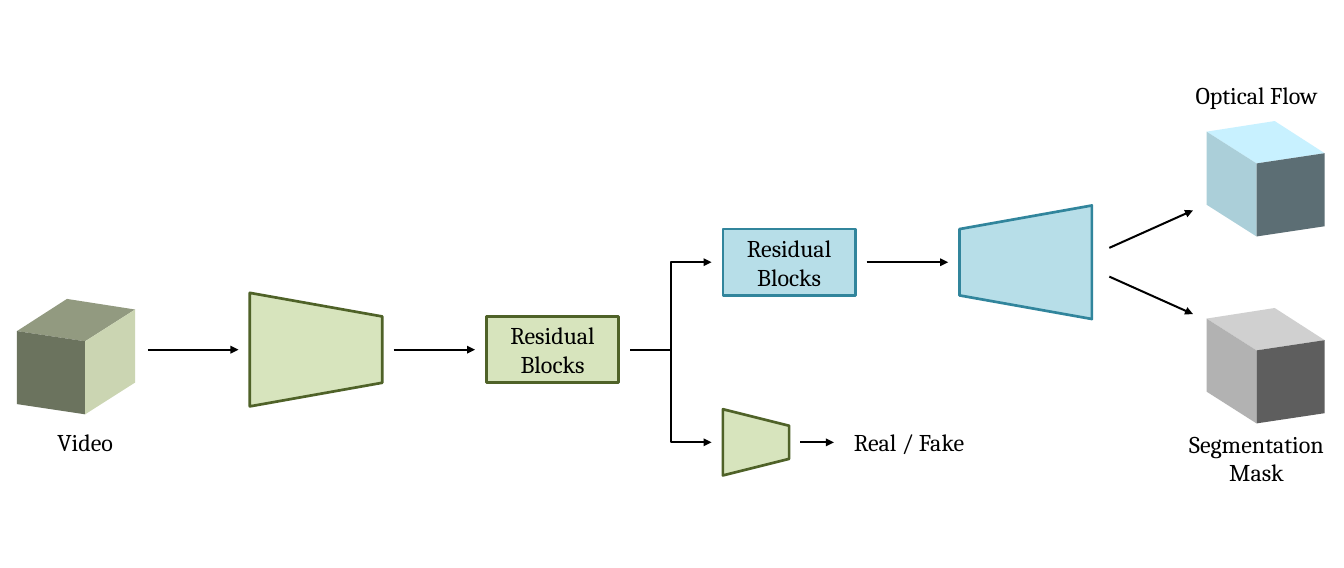
from lxml.etree import SubElement
from pptx import Presentation
from pptx.dml.color import RGBColor
from pptx.enum.shapes import MSO_CONNECTOR as LINK, MSO_SHAPE as SHAPE
from pptx.enum.text import MSO_ANCHOR as ANCHOR, PP_ALIGN as ALIGN
from pptx.oxml.ns import qn
from pptx.util import Cm, Pt

BLACK = "000000"
GREEN = ("D7E4BD", "4F6228")
BLUE = ("B7DEE8", "31859C")
STAGE_X = [6.6 + 6.25 * step for step in range(4)]
STAGE_W, BLOCK_H, NET_H = 3.5, 1.75, 3
NET_SLOPE = 0.208
HEAD_W, HEAD_SLOPE = 1.75, 0.25
GAP = 0.3
FLOW_Y, MAIN_Y, HEAD_Y = 6.93, 9.24, 11.69
CUBE_W, CUBE_SIDE, CUBE_FRONT_Y = 3.12, 1.93, 1.12
OUTPUT_X = 31.88


def rgb(code):
    return RGBColor.from_string(code)


def style(shape, colours):
    fill, border = colours
    shape.shadow.inherit = False
    shape.fill.solid()
    shape.fill.fore_color.rgb = rgb(fill)
    if border:
        shape.line.color.rgb = rgb(border)
        shape.line.width = Pt(2)
    else:
        shape.line.fill.background()


def write(shape, words):
    frame = shape.text_frame
    frame.word_wrap = True
    frame.vertical_anchor = ANCHOR.MIDDLE
    paragraph = frame.paragraphs[0]
    paragraph.text = words
    paragraph.alignment = ALIGN.CENTER
    paragraph.font.name = "Cambria"
    paragraph.font.size = Pt(18)
    paragraph.font.color.rgb = rgb(BLACK)


def label(slide, words, centre_x, top, width, height=1.02):
    box = slide.shapes.add_textbox(Cm(centre_x - width / 2), Cm(top), Cm(width), Cm(height))
    write(box, words)


def residual_blocks(slide, left, centre_y, colours):
    block = slide.shapes.add_shape(
        SHAPE.RECTANGLE, Cm(left), Cm(centre_y - BLOCK_H / 2), Cm(STAGE_W), Cm(BLOCK_H))
    style(block, colours)
    write(block, "Residual Blocks")


def network(slide, left, centre_y, length, height, slope, turn, colours):
    trapezoid = slide.shapes.add_shape(
        SHAPE.TRAPEZOID, Cm(left + (length - height) / 2), Cm(centre_y - length / 2),
        Cm(height), Cm(length))
    trapezoid.adjustments[0] = slope
    trapezoid.rotation = turn
    style(trapezoid, colours)


def arrow(slide, start, end, kind=LINK.STRAIGHT):
    link = slide.shapes.add_connector(kind, *(Cm(value) for value in start + end))
    link.line.color.rgb = rgb(BLACK)
    link.line.width = Pt(1.5)
    SubElement(link.line._get_or_add_ln(), qn("a:tailEnd"), type="triangle")
    SubElement(link._element.spPr, qn("a:effectLst"))


def cube(slide, left, top, front_x, left_y, right_y, colours):
    west = (0, left_y)
    east = (CUBE_W, right_y)
    back = (CUBE_W - front_x, 0)
    front = (front_x, CUBE_FRONT_Y)

    def lower(corner):
        return corner[0], corner[1] + CUBE_SIDE

    faces = [
        (west, back, east, front),
        (west, front, lower(front), lower(west)),
        (front, east, lower(east), lower(front)),
    ]
    for face, colour in zip(faces, colours):
        corners = [(Cm(left + x), Cm(top + y)) for x, y in face]
        outline = slide.shapes.build_freeform(*corners[0])
        outline.add_line_segments(corners[1:])
        style(outline.convert_to_shape(), (colour, None))


def main():
    deck = Presentation()
    deck.slide_width, deck.slide_height = Cm(35.51), Cm(15.01)
    slide = deck.slides.add_slide(deck.slide_layouts[6])
    encoder_x, shared_x, branch_x, decoder_x = STAGE_X

    cube(slide, 0.45, 7.9, 1.8, 0.85, 0.28, ("929A80", "6B735E", "CBD5B2"))
    cube(slide, OUTPUT_X, 3.2, 1.32, 0.28, 0.85, ("C8F1FF", "ABCFD9", "5C6E74"))
    cube(slide, OUTPUT_X, 8.14, 1.32, 0.28, 0.85, ("D0D0D0", "B2B2B2", "5E5E5E"))

    network(slide, encoder_x, MAIN_Y, STAGE_W, NET_H, NET_SLOPE, 90, GREEN)
    network(slide, branch_x, HEAD_Y, HEAD_W, HEAD_W, HEAD_SLOPE, 90, GREEN)
    network(slide, decoder_x, FLOW_Y, STAGE_W, NET_H, NET_SLOPE, 270, BLUE)
    residual_blocks(slide, shared_x, MAIN_Y, GREEN)
    residual_blocks(slide, branch_x, FLOW_Y, BLUE)

    arrow(slide, (3.91, MAIN_Y), (encoder_x - GAP, MAIN_Y))
    arrow(slide, (encoder_x + STAGE_W + GAP, MAIN_Y), (shared_x - GAP, MAIN_Y))
    arrow(slide, (branch_x + STAGE_W + GAP, FLOW_Y), (decoder_x - GAP, FLOW_Y))
    arrow(slide, (branch_x + HEAD_W + GAP, HEAD_Y), (22.03, HEAD_Y))
    for branch_y in (FLOW_Y, HEAD_Y):
        arrow(slide, (shared_x + STAGE_W + GAP, MAIN_Y), (branch_x - GAP, branch_y), LINK.ELBOW)
    for side in (-1, 1):
        arrow(slide, (29.31, FLOW_Y + 0.38 * side), (31.52, FLOW_Y + 1.37 * side))

    label(slide, "Video", 2.25, 11.18, 3.8)
    label(slide, "Real / Fake", 24.02, 11.18, 4)
    label(slide, "Optical Flow", 33.2, 2.01, 4.6)
    label(slide, "Segmentation Mask", 33.2, 11.2, 4.6, 1.8)

    deck.save("out.pptx")


if __name__ == "__main__":
    main()
